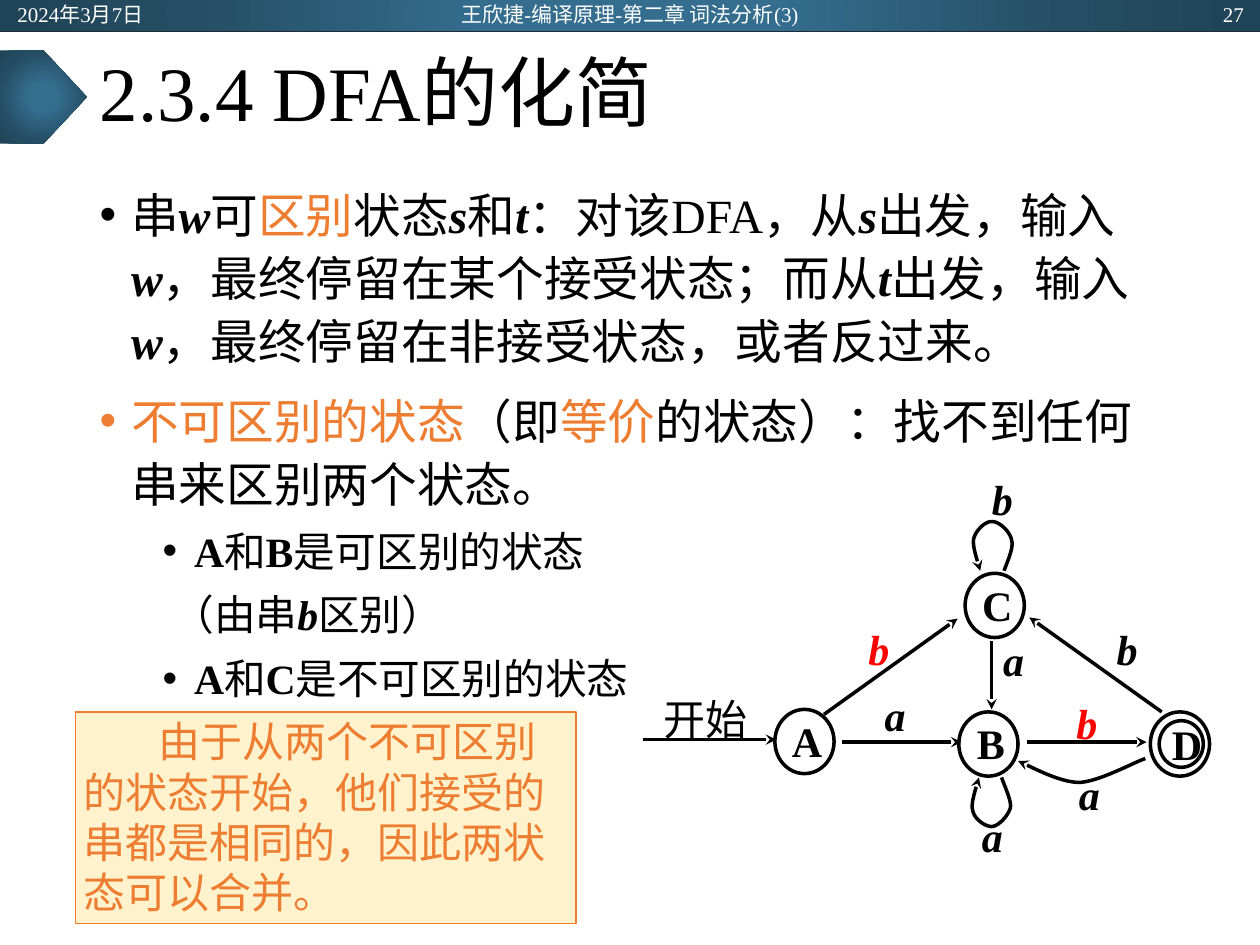
from dataclasses import dataclass
from typing import NamedTuple

from lxml.etree import SubElement
from pptx import Presentation
from pptx.dml.color import RGBColor
from pptx.enum.lang import MSO_LANGUAGE_ID
from pptx.enum.shapes import MSO_CONNECTOR, MSO_SHAPE
from pptx.enum.text import MSO_ANCHOR, MSO_AUTO_SIZE, PP_ALIGN
from pptx.oxml.ns import qn
from pptx.util import Inches, Pt

COLUMNS, ROWS = 100, 75


@dataclass(frozen=True)
class Theme:
    font: str = "Times New Roman"
    ink: str = "000000"
    accent: str = "ED7D31"
    alert: str = "FF0000"
    light: str = "FFFFFF"
    note_fill: str = "FFF2CC"
    rule: str = "222A35"
    gradient: tuple = ((0, "346D8E"), (23, "346D8E"), (69, "254E64"), (97, "204457"))
    title_size: float = 44
    point_size: float = 27.2
    subpoint_size: float = 23.8
    diagram_size: float = 24
    header_size: float = 12
    stroke: float = 2


class Area(NamedTuple):
    col: float
    row: float
    cols: float
    rows: float


class Span(NamedTuple):
    text: str
    bold: bool = False
    italic: bool = False
    color: str = Theme.ink


class Point(NamedTuple):
    spans: tuple
    level: int = 0
    hanging: float = -0.25
    bullet: bool = True
    before: float = 0


class Label(NamedTuple):
    text: str
    col: float
    row: float
    color: str = Theme.ink


theme = Theme()
presentation = Presentation()
presentation.slide_width, presentation.slide_height = Inches(10), Inches(7.5)
slide = presentation.slides.add_slide(presentation.slide_layouts[1])


def at(col: float, row: float) -> tuple:
    return (round(presentation.slide_width * col / COLUMNS),
            round(presentation.slide_height * row / ROWS))


def frame(area: Area) -> tuple:
    return at(area.col, area.row) + at(area.cols, area.rows)


def style(run, size: float, color: str = theme.ink, bold: bool = False, italic: bool = False) -> None:
    font = run.font
    font.name, font.size = theme.font, Pt(size)
    font.bold, font.italic = bold, italic
    font.color.rgb = RGBColor.from_string(color)
    font.language_id = MSO_LANGUAGE_ID.SIMPLIFIED_CHINESE


def write(shape, text: str, size: float, color: str, align=PP_ALIGN.LEFT,
          insets: tuple = (0.06, 0.03, 0.06, 0.03), anchor=MSO_ANCHOR.MIDDLE,
          bold: bool = False, italic: bool = False):
    box = shape.text_frame
    box.text, box.word_wrap, box.vertical_anchor = text, True, anchor
    box.margin_left, box.margin_top, box.margin_right, box.margin_bottom = map(Inches, insets)
    paragraph = box.paragraphs[0]
    paragraph.alignment = align
    style(paragraph.runs[0], size, color, bold, italic)
    return paragraph


def outline(shape, color: str = theme.ink, width: float = theme.stroke) -> None:
    shape.line.color.rgb = RGBColor.from_string(color)
    shape.line.width = Pt(width)


def arrowhead(shape) -> None:
    SubElement(shape.line._get_or_add_ln(), qn("a:tailEnd"), type="stealth")


def line(shapes, start: tuple, end: tuple, color: str = theme.ink, width: float = theme.stroke):
    connector = shapes.add_connector(MSO_CONNECTOR.STRAIGHT, *at(*start), *at(*end))
    outline(connector, color, width)
    return connector


def flatten(connector) -> None:
    SubElement(connector._element.spPr, qn("a:effectLst"))


def banner(preset, area: Area) -> None:
    shape = slide.shapes.add_shape(preset, *frame(area))
    shape.shadow.inherit = False
    shape.line.fill.background()
    properties = shape._element.spPr
    gradient = SubElement(properties, qn("a:gradFill"), rotWithShape="1")
    properties.find(qn("a:prstGeom")).addnext(gradient)
    stops = SubElement(gradient, qn("a:gsLst"))
    for position, color in theme.gradient:
        stop = SubElement(stops, qn("a:gs"), pos=str(position * 1000))
        SubElement(stop, qn("a:srgbClr"), val=color)
    centre = SubElement(gradient, qn("a:path"), path="circle")
    SubElement(centre, qn("a:fillToRect"), l="50000", t="50000", r="50000", b="50000")


def add_point(paragraph, point: Point) -> None:
    properties = paragraph._p.get_or_add_pPr()
    properties.set("marL", str(Inches(0.25 + 0.5 * point.level)))
    properties.set("indent", str(Inches(point.hanging)))
    if point.bullet:
        SubElement(properties, qn("a:buChar"), char="•")
    else:
        SubElement(properties, qn("a:buNone"))
    paragraph.level = point.level
    paragraph.line_spacing = 1.1
    paragraph.space_before = Pt(point.before)
    for span in point.spans:
        run = paragraph.add_run()
        run.text = span.text
        style(run, theme.subpoint_size if point.level else theme.point_size,
              span.color, span.bold, span.italic)


def state(shapes, area: Area, name: str = "", insets: tuple = (0.06, 0.03, 0.02, 0.05)) -> None:
    circle = shapes.add_shape(MSO_SHAPE.OVAL, *frame(area))
    circle.shadow.inherit = False
    circle.fill.background()
    outline(circle)
    if name:
        write(circle, name, theme.diagram_size, theme.ink, PP_ALIGN.CENTER, insets, bold=True)


def arrow(shapes, start: tuple, end: tuple) -> None:
    connector = line(shapes, start, end)
    arrowhead(connector)
    flatten(connector)


def curve(shapes, start: tuple, *segments: tuple, steps: int = 12) -> None:
    vertices, p0 = [], start
    for p1, p2, p3 in segments:
        for t in (step / steps for step in range(1, steps + 1)):
            weights = ((1 - t) ** 3, 3 * t * (1 - t) ** 2, 3 * t * t * (1 - t), t ** 3)
            vertices.append(at(*(sum(w * v for w, v in zip(weights, axis))
                                 for axis in zip(p0, p1, p2, p3))))
        p0 = p3
    builder = shapes.build_freeform(*at(*start))
    builder.add_line_segments(vertices, close=False)
    path = builder.convert_to_shape()
    path.shadow.inherit = False
    path.fill.background()
    outline(path)
    arrowhead(path)


def variable(name: str) -> Span:
    return Span(name, bold=True, italic=True)


def strong(name: str) -> Span:
    return Span(name, bold=True)


def key(term: str) -> Span:
    return Span(term, color=theme.accent)


banner(MSO_SHAPE.RECTANGLE, Area(0, 0, COLUMNS, 2.5))
flatten(line(slide.shapes, (0, 2.5), (COLUMNS, 2.5), theme.rule, 0.5))
banner(MSO_SHAPE.PENTAGON, Area(0, 4, 6.9, 7.4))

title, body = slide.shapes.title, slide.placeholders[1]
title.left, title.top, title.width, title.height = frame(Area(6.9, 2.5, 86.2, 10.4))
heading = write(title, "2.3.4 DFA的化简", theme.title_size, theme.ink, insets=(0.1, 0.05, 0.1, 0.05))
heading.line_spacing = 0.9
title.text_frame.auto_size = MSO_AUTO_SIZE.NONE

points = (
    Point((Span("串"), variable("w"), Span("可"), key("区别"), Span("状态"), variable("s"),
           Span("和"), variable("t"), Span("：对该DFA，从"), variable("s"), Span("出发，输入"),
           variable("w"), Span("，最终停留在某个接受状态；而从"), variable("t"),
           Span("出发，输入"), variable("w"), Span("，最终停留在非接受状态，或者反过来。"))),
    Point((key("不可区别的状态"), Span("（即"), key("等价"),
           Span("的状态）：找不到任何串来区别两个状态。")), before=10),
    Point((strong("A"), Span("和"), strong("B"), Span("是可区别的状态")), 1, before=5),
    Point((Span("（由串"), variable("b"), Span("区别）")), 1, -0.17, False, 5),
    Point((strong("A"), Span("和"), strong("C"), Span("是不可区别的状态")), 1, before=5),
)
body.left, body.top, body.width, body.height = frame(Area(6.9, 13.8, 86.2, 53.8))
body.text_frame.auto_size = MSO_AUTO_SIZE.NONE
for index, point in enumerate(points):
    add_point(body.text_frame.add_paragraph() if index else body.text_frame.paragraphs[0], point)

automaton = slide.shapes.add_group_shape().shapes
for name, col, row in (("A", 61.5, 56.3), ("B", 76.1, 56.5), ("C", 76.6, 45.5), ("", 91.3, 56.5)):
    state(automaton, Area(col, row, 4.7, 5.1), name)
state(automaton, Area(92, 57.2, 3.5, 3.7), "D", (0.05, 0, 0.01, 0))

for start, end in (((51, 58.7), (61.6, 58.7)), ((66.8, 58.9), (76.3, 58.9)),
                   ((81.5, 58.9), (91, 58.9)), ((65.4, 56.7), (76, 49.1)),
                   ((78.7, 50.9), (78.7, 56.3)), ((92.2, 56.5), (81.7, 49))):
    arrow(automaton, start, end)

curve(automaton, (79.7, 45.3), ((79.8, 44.9), (80.5, 43.5), (80.3, 42.9)),
      ((80.2, 42.2), (79.3, 41.4), (78.8, 41.4)), ((78.3, 41.3), (77.5, 42), (77.3, 42.7)),
      ((77.1, 43.3), (77.7, 44.8), (77.8, 45.3)))
curve(automaton, (79.5, 61.7), ((79.6, 62.1), (80.3, 63.5), (80.2, 64.1)),
      ((80, 64.8), (79.2, 65.6), (78.7, 65.6)), ((78.2, 65.6), (77.3, 65), (77.2, 64.3)),
      ((77, 63.7), (77.6, 62.2), (77.7, 61.7)))
curve(automaton, (90.9, 60.2), ((90, 60.5), (87.3, 62), (85.7, 62.1)),
      ((84, 62.1), (81.8, 60.8), (80.8, 60.4)))

for label in (Label("a", 69.1, 54.7), Label("a", 76.8, 64.3), Label("b", 84.3, 55.3, theme.alert),
              Label("b", 67.8, 49.4, theme.alert), Label("a", 84.5, 60.9), Label("b", 77.6, 37.5),
              Label("b", 87.5, 49.4), Label("a", 78.5, 50.3)):
    symbol = automaton.add_textbox(*frame(Area(label.col, label.row, 3.9, 4.1)))
    write(symbol, label.text, theme.diagram_size, label.color, PP_ALIGN.CENTER, bold=True, italic=True)
entry = automaton.add_textbox(*frame(Area(51.9, 54.6, 8.2, 4.8)))
write(entry, "开始", theme.diagram_size, theme.ink, PP_ALIGN.CENTER)

note = slide.shapes.add_shape(MSO_SHAPE.RECTANGLE, *frame(Area(6, 56.5, 39.7, 16.8)))
note.shadow.inherit = False
note.fill.solid()
note.fill.fore_color.rgb = RGBColor.from_string(theme.note_fill)
outline(note, theme.accent, 1)
remark = write(note, "由于从两个不可区别的状态开始，他们接受的串都是相同的，因此两状态可以合并。",
               theme.diagram_size, theme.accent, anchor=MSO_ANCHOR.TOP)
remark._p.get_or_add_pPr().set("indent", str(Inches(0.6)))

for text, col, cols, align in (("2024年3月7日", 0.4, 22.5, PP_ALIGN.LEFT),
                               ("王欣捷-编译原理-第二章 词法分析(3)", 33.1, 33.8, PP_ALIGN.CENTER),
                               ("27", 77.2, 22.5, PP_ALIGN.RIGHT)):
    header = slide.shapes.add_textbox(*frame(Area(col, 0.1, cols, 2)))
    write(header, text, theme.header_size, theme.light, align, (0.1, 0.05, 0.1, 0.05))

presentation.save("out.pptx")
